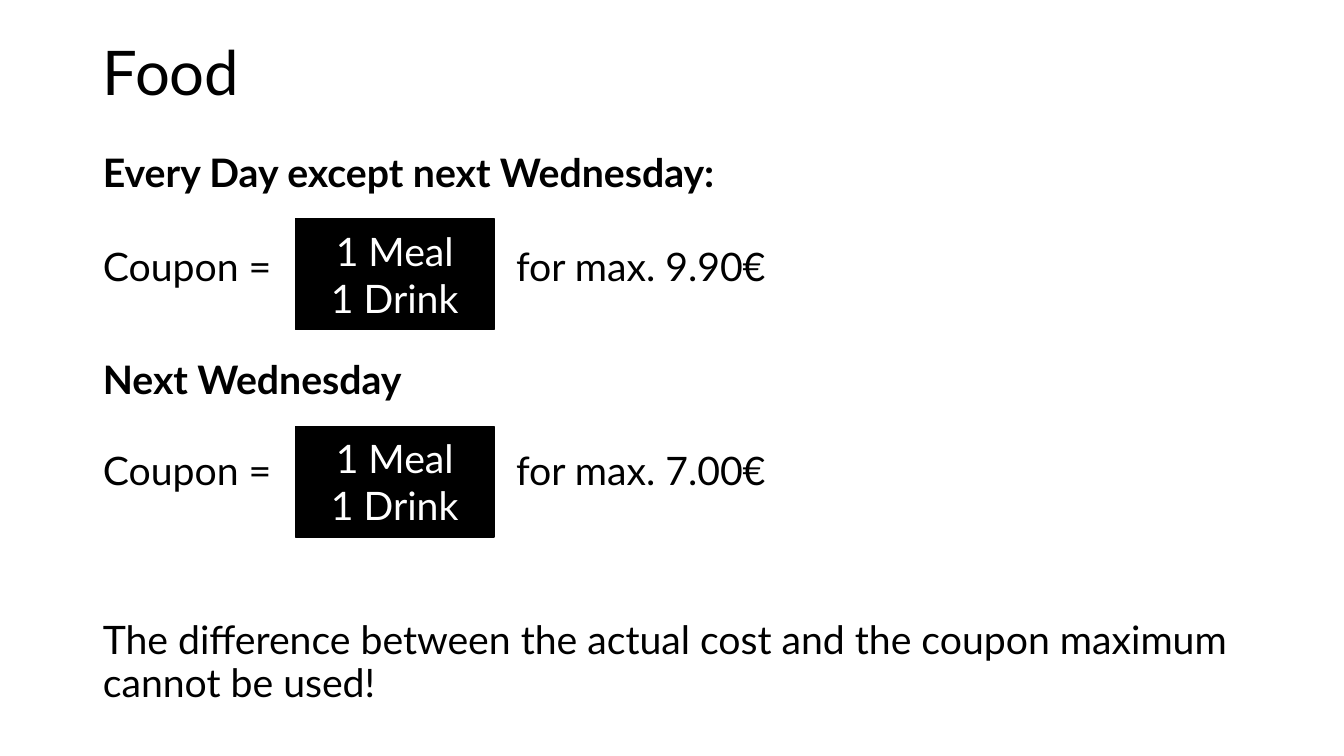
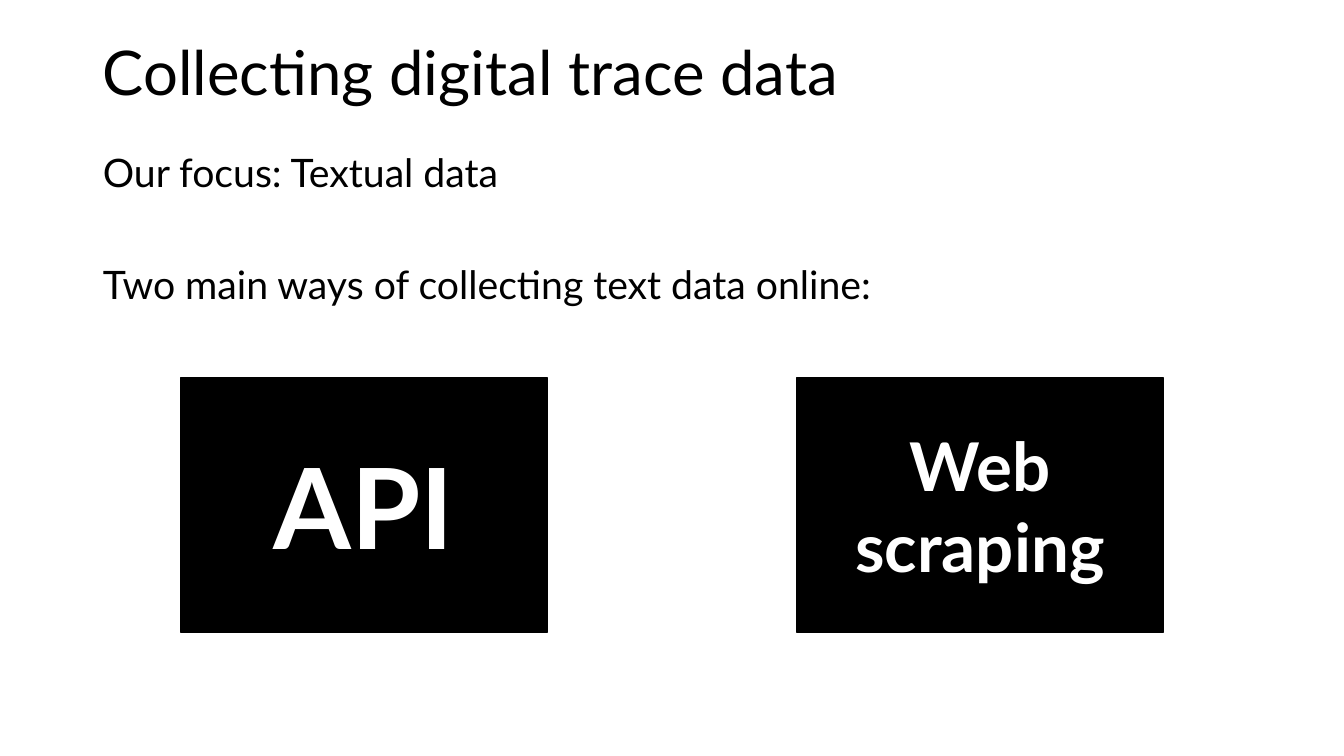
from dataclasses import dataclass

from lxml.etree import SubElement
from pptx import Presentation
from pptx.dml.color import RGBColor
from pptx.enum.shapes import MSO_SHAPE
from pptx.enum.text import MSO_ANCHOR, MSO_AUTO_SIZE, PP_ALIGN
from pptx.oxml.ns import qn
from pptx.util import Inches, Pt

# Shared style
COLORS = {"ink": "000000", "paper": "FFFFFF"}
FONT = "Lato"
TITLE_SIZE, BODY_SIZE = 44, 28
MARGIN, CONTENT_WIDTH = 0.92, 11.5
TITLE_TOP, TITLE_HEIGHT = 0.02, 1.45
BODY_TOP = 1.47
TAB_STEP = 1


@dataclass
class Line:
    text: str
    bold: bool = False
    space_before: float = 10


@dataclass
class Box:
    left: float
    top: float
    width: float
    height: float
    lines: tuple[str, ...]
    size: int = BODY_SIZE
    bold: bool = False


def color(name: str) -> RGBColor:
    return RGBColor.from_string(COLORS[name])


def write(para, text: str, *, size: int = BODY_SIZE, bold: bool = False,
          ink: str = "ink", align=PP_ALIGN.LEFT, spacing: float = 1.0,
          space_before: float = 0) -> None:
    para.alignment = align
    para.line_spacing = spacing
    para.space_before = Pt(space_before)
    span = para.add_run()
    span.text = text
    span.font.name = FONT
    span.font.size = Pt(size)
    span.font.bold = bold
    span.font.color.rgb = color(ink)


def paragraphs(frame, count: int) -> list:
    return [frame.paragraphs[0]] + [frame.add_paragraph() for _ in range(count - 1)]


def place(shape, top: float, height: float) -> None:
    shape.left, shape.top = Inches(MARGIN), Inches(top)
    shape.width, shape.height = Inches(CONTENT_WIDTH), Inches(height)
    shape.text_frame.word_wrap = True
    shape.text_frame.auto_size = MSO_AUTO_SIZE.NONE


def plain_list_format(para) -> None:
    """Remove the bullet and indent, and set evenly spaced tab stops."""
    properties = para._p.get_or_add_pPr()
    properties.set("marL", "0")
    properties.set("indent", "0")
    properties.set("defTabSz", str(Inches(TAB_STEP)))
    SubElement(properties, qn("a:buNone"))


def draw_box(page, box: Box) -> None:
    shape = page.shapes.add_shape(
        MSO_SHAPE.RECTANGLE, Inches(box.left), Inches(box.top),
        Inches(box.width), Inches(box.height))
    shape.shadow.inherit = False
    shape.fill.solid()
    shape.fill.fore_color.rgb = color("ink")
    shape.line.color.rgb = color("ink")
    shape.line.width = Pt(1)
    frame = shape.text_frame
    frame.word_wrap = True
    frame.vertical_anchor = MSO_ANCHOR.MIDDLE
    for para, text in zip(paragraphs(frame, len(box.lines)), box.lines):
        write(para, text, size=box.size, bold=box.bold, ink="paper",
              align=PP_ALIGN.CENTER)


def add_page(deck, title: str, body_height: float, lines: list[Line],
             boxes: list[Box]) -> None:
    page = deck.slides.add_slide(deck.slide_layouts[1])

    # Title
    place(page.shapes.title, TITLE_TOP, TITLE_HEIGHT)
    frame = page.shapes.title.text_frame
    frame.vertical_anchor = MSO_ANCHOR.MIDDLE
    write(frame.paragraphs[0], title, size=TITLE_SIZE, spacing=0.9)

    # Body
    body = page.placeholders[1]
    place(body, BODY_TOP, body_height)
    for para, line in zip(paragraphs(body.text_frame, len(lines)), lines):
        write(para, line.text, bold=line.bold, spacing=0.9,
              space_before=line.space_before)
        plain_list_format(para)

    # Black boxes
    for box in boxes:
        draw_box(page, box)


def main() -> None:
    deck = Presentation()
    deck.slide_width, deck.slide_height = Inches(13.33), Inches(7.5)

    # Food coupons
    add_page(
        deck, "Food", 5.77,
        [Line("Every Day except next Wednesday:", bold=True),
         Line("Coupon = \t\t\t for max. 9.90€", space_before=37.3),
         Line("Next Wednesday", bold=True, space_before=50.2),
         Line("Coupon = \t\t\t for max. 7.00€", space_before=35.1),
         Line("The difference between the actual cost and the coupon maximum "
              "cannot be used!", space_before=90.5)],
        [Box(2.93, top, 1.97, 1.1, ("1 Meal", "1 Drink")) for top in (2.17, 4.23)])

    # Ways of collecting data
    ways = [(1.79, ("API",), 80), (7.9, ("Web", "scraping"), 48)]
    add_page(
        deck, "Collecting digital trace data", 2.17,
        [Line("Our focus: Textual data"),
         Line("Two main ways of collecting text data online:", space_before=50.2)],
        [Box(left, 3.75, 3.64, 2.52, lines, size, bold=True)
         for left, lines, size in ways])

    deck.save("out.pptx")


if __name__ == "__main__":
    main()
